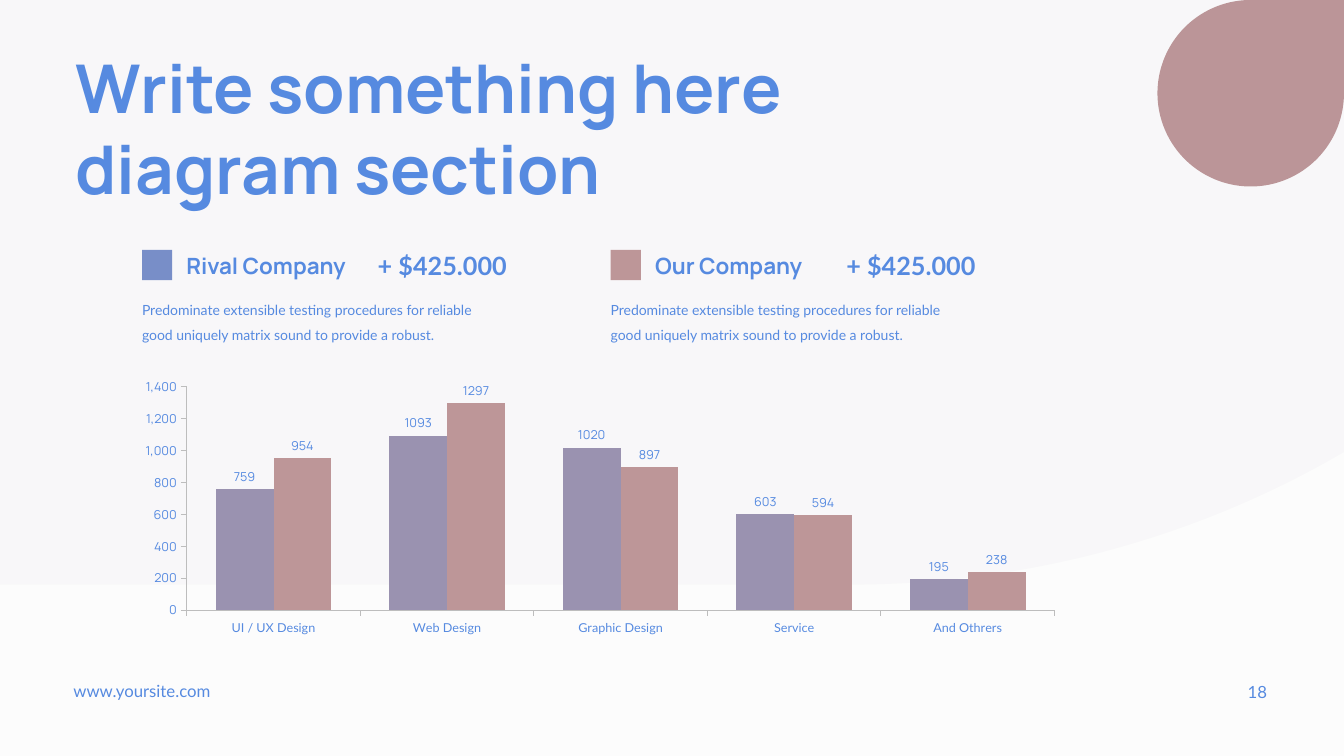
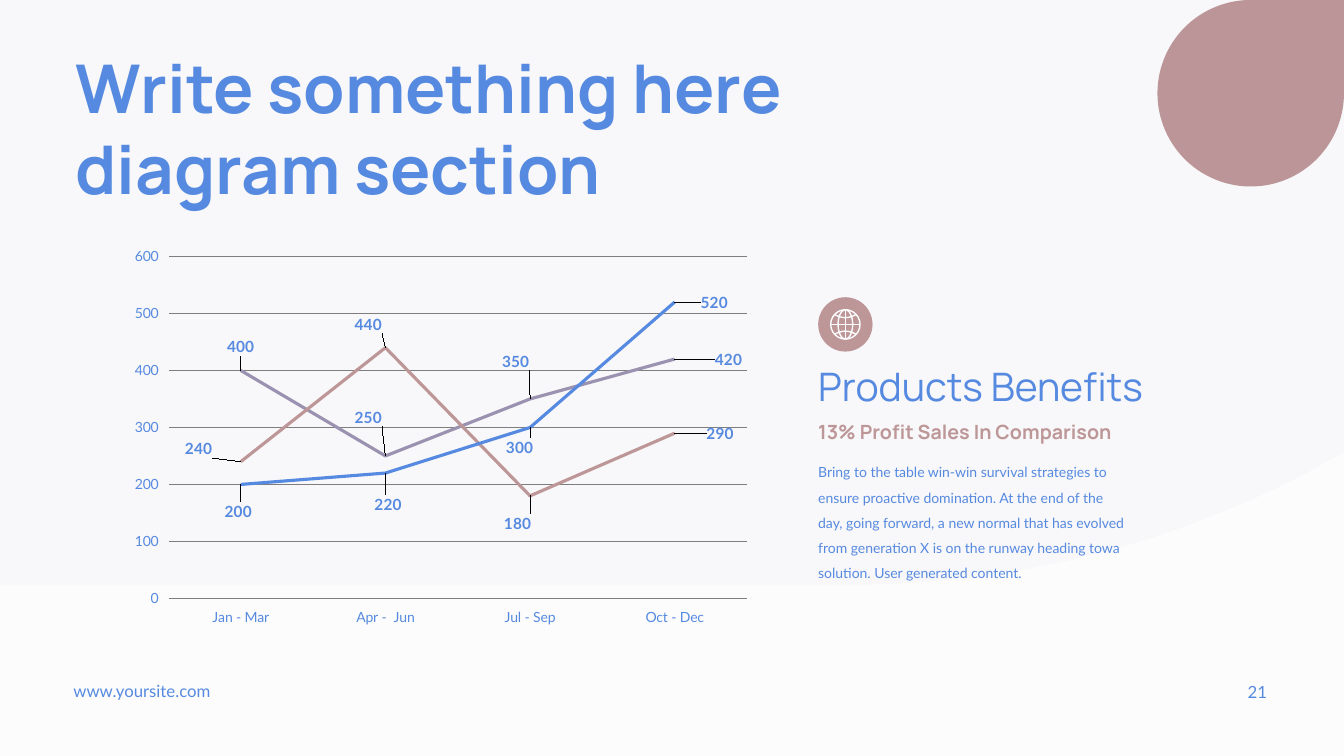
import pptx
import pptx.chart.data
import pptx.dml.color
import pptx.enum.chart
import pptx.enum.shapes
import pptx.enum.text
import pptx.oxml
import pptx.oxml.ns
import pptx.util
from lxml import etree

Cm, Pt = pptx.util.Cm, pptx.util.Pt
qn = pptx.oxml.ns.qn
SHAPE = pptx.enum.shapes.MSO_SHAPE
ANCHOR = pptx.enum.text.MSO_ANCHOR
ALIGN = pptx.enum.text.PP_ALIGN
CHART = pptx.enum.chart.XL_CHART_TYPE
LABEL = pptx.enum.chart.XL_LABEL_POSITION
TICK = pptx.enum.chart.XL_TICK_MARK

# Shared colours and sizes
BLUE, ROSE, MAUVE, SLATE = "568AE0", "BD9698", "9A92B0", "788EC8"
PAPER, AXIS, GRID = "FCFCFC", "BDBDBD", "7E7E7E"
WIDTH, HEIGHT = 33.87, 19.05
TITLE = "Write something here diagram section"


def rgb(value):
    return pptx.dml.color.RGBColor.from_string(value)


def style(name, size, bold=False):
    return {"name": name, "size": Pt(size), "bold": bold}


def set_font(font, fmt, color=BLUE):
    for key, value in fmt.items():
        setattr(font, key, value)
    font.color.rgb = rgb(color)


def set_layout(parent, index, values):
    """Give a chart part a manual layout made of (tag, value) pairs."""
    for old in parent.findall(qn("c:layout")):
        parent.remove(old)
    layout = etree.Element(qn("c:layout"))
    manual = etree.SubElement(layout, qn("c:manualLayout"))
    for tag, value in values:
        etree.SubElement(manual, qn("c:" + tag)).set("val", str(value))
    parent.insert(index, layout)


class Deck:
    """Holds the style and the current slide."""

    def __init__(self):
        self.prs = pptx.Presentation()
        self.prs.slide_width, self.prs.slide_height = Cm(WIDTH), Cm(HEIGHT)
        self.s = None

    def slide(self, number):
        self.s = self.prs.slides.add_slide(self.prs.slide_layouts[6])
        self.s.background.fill.solid()
        self.s.background.fill.fore_color.rgb = rgb(PAPER)
        # Corner drop and pale backdrop
        self.text("www.yoursite.com", (1.85, 17.15, 6.88, 0.51), style("Lato", 12))
        self.shape(SHAPE.TEAR, (WIDTH - 4.7, 0, 4.7, 4.7), ROSE)
        backdrop = self.shape(SHAPE.TEAR, (-2.13, -29.59, 47.12, 44.32), MAUVE, alpha=4)
        backdrop.rotation = 180
        # Page number and title
        self.text(str(number), (24.56, 16.92, 7.62, 1.02), style("Lato", 12),
                  inset=True, grow=False, anchor=ANCHOR.MIDDLE, align=ALIGN.RIGHT)
        self.text(TITLE, (1.65, 1.04, 24.08, 4.37), style("Manrope", 48, True), inset=True)

    def text(self, words, box, fmt, color=BLUE, spacing=None, inset=False, grow=True,
             anchor=ANCHOR.TOP, align=ALIGN.LEFT):
        sp = self.s.shapes.add_textbox(*map(Cm, box))
        tf = sp.text_frame
        tf.word_wrap = True
        tf.vertical_anchor = anchor
        if grow:
            tf.auto_size = pptx.enum.text.MSO_AUTO_SIZE.SHAPE_TO_FIT_TEXT
        if not inset:
            for side in ("left", "top", "right", "bottom"):
                setattr(tf, "margin_" + side, 0)
        p = tf.paragraphs[0]
        p.alignment = align
        if spacing:
            p.line_spacing = spacing
        r = p.add_run()
        r.text = words
        set_font(r.font, fmt, color)

    def shape(self, kind, box, fill=None, line=None, alpha=None):
        sp = self.s.shapes.add_shape(kind, *map(Cm, box))
        self.paint(sp, fill, line)
        if alpha:
            color = sp.fill._xPr.find(qn("a:solidFill"))[0]
            etree.SubElement(color, qn("a:alpha")).set("val", str(alpha * 1000))
        return sp

    def paint(self, sp, fill=None, line=None):
        sp.shadow.inherit = False
        if fill:
            sp.fill.solid()
            sp.fill.fore_color.rgb = rgb(fill)
        else:
            sp.fill.background()
        if line:
            sp.line.color.rgb = rgb(line)
            sp.line.width = Pt(1)
        else:
            sp.line.fill.background()

    def line(self, x1, y1, x2, y2, color):
        c = self.s.shapes.add_connector(
            pptx.enum.shapes.MSO_CONNECTOR.STRAIGHT, *map(Cm, (x1, y1, x2, y2)))
        c.line.color.rgb = rgb(color)
        c.line.width = Pt(1)
        etree.SubElement(c.element.spPr, qn("a:effectLst"))

    def globe(self, x, y, size):
        """A disc with a line globe in its middle."""
        self.shape(SHAPE.OVAL, (x, y, size, size), ROSE)
        cx, cy, rad = x + size / 2, y + size / 2, 0.37
        for half in (rad, rad / 2):
            self.shape(SHAPE.OVAL, (cx - half, cy - rad, 2 * half, 2 * rad), line=PAPER)
        self.line(cx - rad, cy, cx + rad, cy, PAPER)
        self.line(cx, cy - rad, cx, cy + rad, PAPER)
        for side in (-1, 1):
            points = [(Cm(cx + 0.27 * t / 4), Cm(cy + side * (0.17 + 0.08 * (t / 4) ** 2)))
                      for t in range(-4, 5)]
            builder = self.s.shapes.build_freeform(*points[0], scale=1.0)
            builder.add_line_segments(points[1:], close=False)
            self.paint(builder.convert_to_shape(), line=PAPER)

    def chart(self, kind, box, cats, series, plot, top, step, cat_font, val_font,
              axis_line=None, grid=None, number_format="General"):
        data = pptx.chart.data.CategoryChartData()
        data.categories = cats
        for i, (values, _) in enumerate(series, 1):
            data.add_series(f"Series {i}", values)
        chart = self.s.shapes.add_chart(kind, *map(Cm, box), data).chart
        chart.has_legend = chart.has_title = False
        set_font(chart.font, cat_font)
        chart.plots[0].vary_by_categories = False
        set_layout(chart.element.find(".//" + qn("c:plotArea")), 0,
                   [("layoutTarget", "inner"), ("xMode", "edge"), ("yMode", "edge"),
                    *zip("xywh", plot)])
        # Axes
        val = chart.value_axis
        for axis, fmt in ((chart.category_axis, cat_font), (val, val_font)):
            set_font(axis.tick_labels.font, fmt)
            axis.major_tick_mark, axis.minor_tick_mark = TICK.OUTSIDE, TICK.NONE
            if axis_line:
                axis.format.line.color.rgb = rgb(axis_line)
                axis.format.line.width = Pt(0.75)
            else:
                axis.format.line.fill.background()
        val.minimum_scale, val.maximum_scale, val.major_unit = 0, top, step
        val.tick_labels.number_format = number_format
        val.tick_labels.number_format_is_linked = False
        val.has_major_gridlines = bool(grid)
        if grid:
            val.major_gridlines.format.line.color.rgb = rgb(grid)
            val.major_gridlines.format.line.width = Pt(0.75)
        # Series colours
        for ser, (_, color) in zip(chart.plots[0].series, series):
            if kind == CHART.LINE:
                ser.smooth = False
                ser.format.line.color.rgb = rgb(color)
                ser.format.line.width = Pt(2.25)
            else:
                ser.format.fill.solid()
                ser.format.fill.fore_color.rgb = rgb(color)
        return chart

    def value_labels(self, chart, fmt, position):
        for ser in chart.plots[0].series:
            labels = ser.data_labels
            labels.show_value = True
            labels.position = position
            set_font(labels.font, fmt)

    def placed_labels(self, chart, fmt, box, shifts):
        """Value labels whose centres lie at (dx, dy) cm from their points."""
        gap = 0.48
        for ser in chart.plots[0].series:
            for i in range(len(ser.values)):
                label = ser.points[i].data_label
                set_font(label.font, fmt)
                label.position = LABEL.RIGHT
        for node, (dx, dy) in zip(chart.element.iter(qn("c:dLbl")), shifts):
            set_layout(node, 1, [("x", round((dx - gap) / box[2], 4)),
                                 ("y", round(dy / box[3], 4))])


def column_slide(deck):
    deck.slide(18)
    # Legend blocks
    for i, (name, color) in enumerate((("Rival Company", SLATE), ("Our Company", ROSE))):
        x = 3.58 + i * 11.81
        deck.text("+ $425.000", (x + 5.94, 6.3, 4.06, 0.76), style("Lato", 18, True))
        deck.shape(SHAPE.RECTANGLE, (x, 6.3, 0.76, 0.76), color)
        deck.text(name, (x + 1.12, 6.35, 4.7, 0.69), style("Manrope", 16, True))
        deck.text("Predominate extensible testing procedures for reliable good uniquely "
                  "matrix sound to provide a robust.",
                  (x, 7.39, 8.81, 1.22), style("Lato", 10), spacing=1.5)
    # Column chart
    chart = deck.chart(
        CHART.COLUMN_CLUSTERED, (3.58, 9.53, 23.01, 6.48),
        ["UI / UX Design", "Web Design", "Graphic Design", "Service", "And Othrers"],
        [((759, 1093, 1020, 603, 195), MAUVE), ((954, 1297, 897, 594, 238), ROSE)],
        (0.049, 0.03, 0.951, 0.887), 1400, 200, style("Lato", 9), style("Manrope", 9),
        axis_line=AXIS, number_format="#,##0")
    chart.plots[0].gap_width, chart.plots[0].overlap = 100, 0
    deck.value_labels(chart, style("Manrope", 9), LABEL.OUTSIDE_END)


def line_slide(deck):
    deck.slide(21)
    # Line chart
    box = (2.84, 6.2, 16, 9.73)
    chart = deck.chart(
        CHART.LINE, box, ["Jan - Mar", "Apr -  Jun", "Jul - Sep", "Oct - Dec"],
        [((400, 250, 350, 420), MAUVE), ((240, 440, 180, 290), ROSE),
         ((200, 220, 300, 520), BLUE)],
        (0.088, 0.027, 0.912, 0.886), 600, 100, style("Lato", 10), style("Lato", 10),
        grid=GRID)
    deck.placed_labels(chart, style("Lato", 11, True), box, [
        (0.03, -0.6), (-0.4, -0.98), (-0.33, -0.96), (1.39, 0),
        (-1.03, -0.33), (-0.4, -0.6), (-0.28, 0.68), (1.18, 0),
        (-0.03, 0.68), (0.1, 0.78), (-0.23, 0.5), (1.03, 0)])
    # Benefits column
    x = 20.62
    deck.text("Bring to the table win-win survival strategies to ensure proactive "
              "domination. At the end of the day, going forward, a new normal that has "
              "evolved from generation X is on the runway heading towa solution. "
              "User generated content.",
              (x, 11.48, 7.87, 3.15), style("Lato", 10), spacing=1.5)
    deck.text("13% Profit Sales In Comparison", (x, 10.59, 10.49, 0.61),
              style("Manrope", 14, True), ROSE)
    deck.text("Products Benefits", (x, 9.25, 10.49, 1.09), style("Manrope", 28),
              spacing=Pt(30), anchor=ANCHOR.MIDDLE)
    deck.globe(x, 7.49, 1.37)


def main():
    deck = Deck()
    column_slide(deck)
    line_slide(deck)
    deck.prs.save("out.pptx")


if __name__ == "__main__":
    main()
